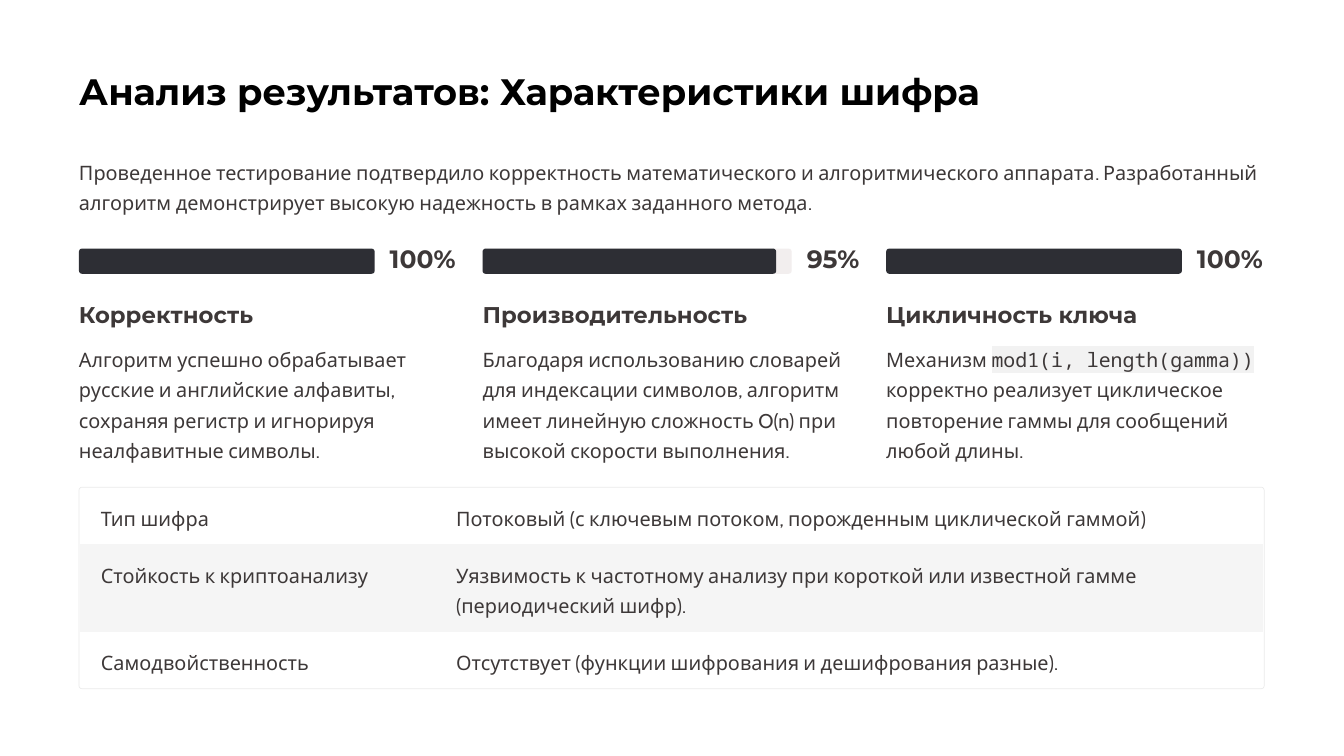
from lxml import etree
from pptx import Presentation
from pptx.dml.color import RGBColor
from pptx.enum.shapes import MSO_SHAPE
from pptx.oxml.ns import qn
from pptx.util import Inches, Pt

ROUNDED = MSO_SHAPE.ROUNDED_RECTANGLE
COLORS = {"title": "000000", "text": "3D3838", "bar": "2D2E34", "track": "F2EEEE",
          "code": "F2F2F2", "border": "EBEBEB", "band": "F5F5F5"}
PLAIN_TABLE = "{2D5ABB26-0587-4C30-8999-92F81FD0307C}"
LEFT, CONTENT_W = 0.94, 14.11
COLUMN_W = 4.5
PITCH = (CONTENT_W - COLUMN_W) / 2
BAR_TOP, BAR_H, LABEL_GAP = 2.96, 0.3, 0.18
CODE = "mod1(i, length(gamma))"

prs = Presentation()
prs.slide_width, prs.slide_height = Inches(16), Inches(9)
slide = prs.slides.add_slide(prs.slide_layouts[6])


def write(frame, text, size, leading, font="Cabin", bold=False, color="text", wrap=True):
    frame.word_wrap = wrap
    paragraph = frame.paragraphs[0]
    paragraph.line_spacing = Pt(leading)
    paragraph.font.size = Pt(size)
    paragraph.font.name = font
    paragraph.font.bold = bold
    paragraph.font.color.rgb = RGBColor.from_string(COLORS[color])
    before, code, after = text.partition(CODE)
    for part in filter(None, (before, code, after)):
        run = paragraph.add_run()
        run.text = part
        if part == CODE:
            run.font.name = "Noto Sans Mono"
            highlight = etree.Element(qn("a:highlight"))
            etree.SubElement(highlight, qn("a:srgbClr"), val=COLORS["code"])
            run.font._element.insert(0, highlight)


def add_text(left, top, width, height, *args, **style):
    frame = slide.shapes.add_textbox(*map(Inches, (left, top, width, height))).text_frame
    frame.margin_left = frame.margin_top = frame.margin_right = frame.margin_bottom = 0
    write(frame, *args, **style)


add_text(LEFT, 0.8, 10.85, 0.55, "Анализ результатов: Характеристики шифра", 31.5, 39.5,
         font="Montserrat", bold=True, color="title", wrap=False)
add_text(LEFT, 1.83, CONTENT_W, 0.73,
         "Проведенное тестирование подтвердило корректность математического и "
         "алгоритмического аппарата. Разработанный алгоритм демонстрирует высокую "
         "надежность в рамках заданного метода.", 17, 26)

metrics = [
    (100, 0.8, "Корректность",
     "Алгоритм успешно обрабатывает русские и английские алфавиты, сохраняя регистр "
     "и игнорируя неалфавитные символы."),
    (95, 0.64, "Производительность",
     "Благодаря использованию словарей для индексации символов, алгоритм имеет "
     "линейную сложность O(n) при высокой скорости выполнения."),
    (100, 0.8, "Цикличность ключа",
     f"Механизм {CODE} корректно реализует циклическое повторение гаммы для "
     "сообщений любой длины."),
]
for column, (percent, label_w, heading, description) in enumerate(metrics):
    left = LEFT + column * PITCH
    track_w = COLUMN_W - label_w - LABEL_GAP
    bars = [(track_w * percent / 100, "bar")]
    if percent < 100:
        bars.insert(0, (track_w, "track"))
    for bar_w, color in bars:
        bar = slide.shapes.add_shape(ROUNDED, *map(Inches, (left, BAR_TOP, bar_w, BAR_H)))
        bar.adjustments[0] = 0.12
        bar.shadow.inherit = False
        bar.fill.solid()
        bar.fill.fore_color.rgb = RGBColor.from_string(COLORS[color])
        bar.line.fill.background()
    add_text(left + COLUMN_W - label_w, BAR_TOP, label_w, BAR_H, f"{percent}%", 21.5, 21.5,
             font="Montserrat", bold=True, wrap=False)
    add_text(left, 3.57, COLUMN_W, 0.35, heading, 19.5, 24.5,
             font="Montserrat", bold=True, wrap=False)
    add_text(left, 4.06, COLUMN_W, 1.46, description, 17, 26)

border = slide.shapes.add_shape(ROUNDED, *map(Inches, (LEFT, 5.8, CONTENT_W, 2.4)))
border.adjustments[0] = 0.015
border.shadow.inherit = False
border.fill.background()
border.line.color.rgb = RGBColor.from_string(COLORS["border"])
border.line.width = Pt(0.6)

properties = [
    (0.67, "Тип шифра", "Потоковый (с ключевым потоком, порожденным циклической гаммой)"),
    (1.04, "Стойкость к криптоанализу",
     "Уязвимость к частотному анализу при короткой или известной гамме "
     "(периодический шифр)."),
    (0.67, "Самодвойственность", "Отсутствует (функции шифрования и дешифрования разные)."),
]
table = slide.shapes.add_table(
    len(properties), 2, *map(Inches, (0.95, 5.81, 14.09, 2.38))).table
table.first_row = table.horz_banding = False
table._tbl.tblPr.find(qn("a:tableStyleId")).text = PLAIN_TABLE
table.columns[0].width, table.columns[1].width = Inches(4.23), Inches(9.86)
for row, (height, *texts) in enumerate(properties):
    table.rows[row].height = Inches(height)
    for cell, text in zip(table.rows[row].cells, texts):
        cell.margin_left, cell.margin_right = Inches(0.25), Inches(0.23)
        cell.margin_top, cell.margin_bottom = Inches(0.16), Inches(0.1)
        if row % 2:
            cell.fill.solid()
            cell.fill.fore_color.rgb = RGBColor.from_string(COLORS["band"])
        else:
            cell.fill.background()
        write(cell.text_frame, text, 17, 26)

prs.save("out.pptx")
